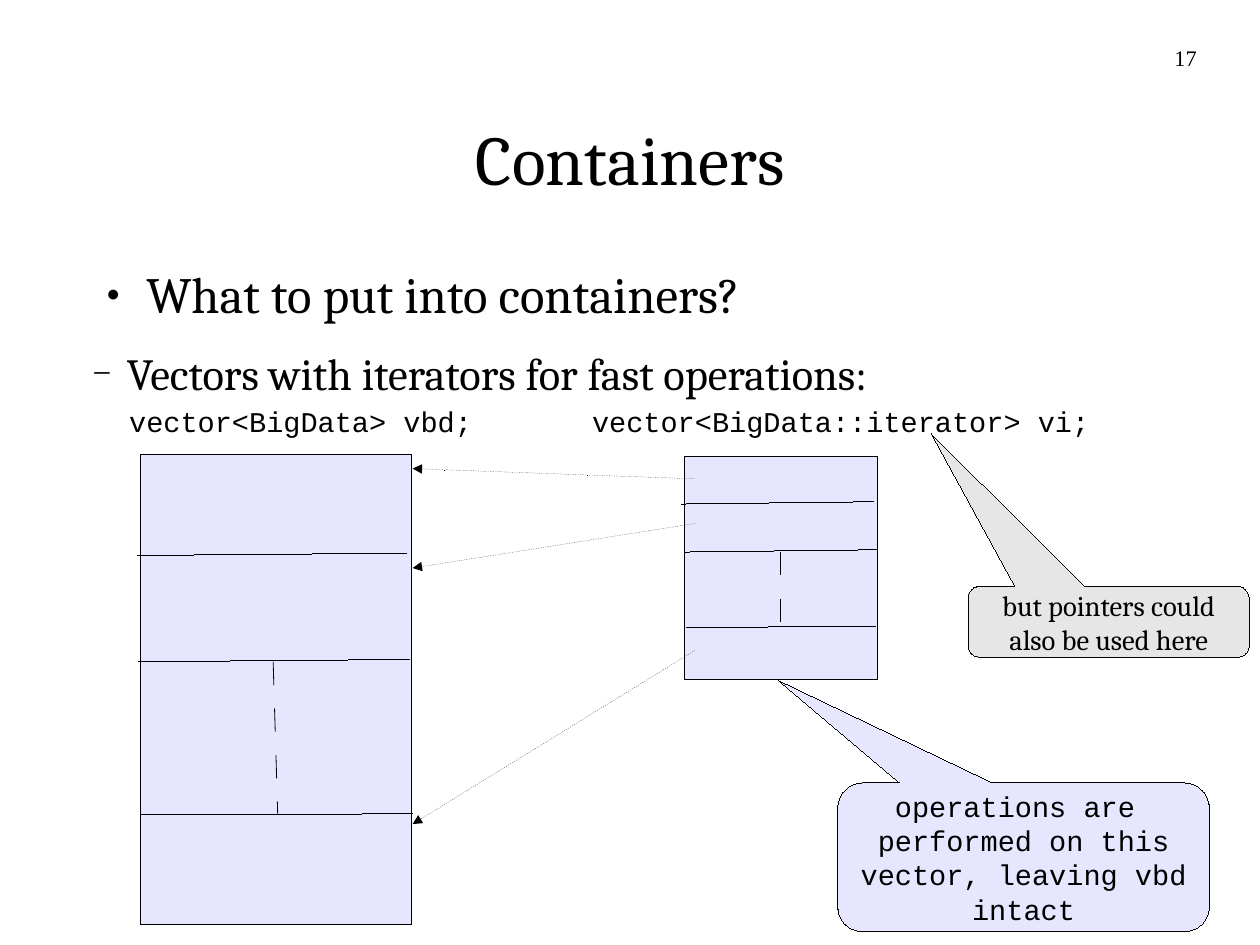
from dataclasses import dataclass

from lxml.etree import SubElement
from pptx import Presentation
from pptx.dml.color import RGBColor
from pptx.enum.shapes import MSO_CONNECTOR, MSO_SHAPE
from pptx.enum.text import MSO_ANCHOR as ANCHOR, PP_ALIGN as ALIGN
from pptx.oxml.ns import qn
from pptx.util import Cm, Inches, Pt

SERIF, MONO, ROMAN = "Cambria", "Courier New", "Times New Roman"
LILAC, GREY, BLACK = "E6E6FF", "E6E6E6", "000000"


@dataclass
class Label:
    text: str
    box: tuple
    size: float
    font: str
    align: ALIGN = ALIGN.LEFT
    anchor: ANCHOR = ANCHOR.TOP
    wrap: bool = True


@dataclass
class Line:
    start: tuple
    end: tuple
    style: str = "solid"


@dataclass
class Callout:
    label: Label
    fill: str
    tip: tuple


@dataclass
class Bullet:
    text: str
    char: str
    scale: int
    size: float
    margin: float
    indent: float
    after: float


def rgb(color: str) -> RGBColor:
    return RGBColor.from_string(color)


def write(tf, label: Label) -> None:
    tf.margin_left = tf.margin_right = tf.margin_top = tf.margin_bottom = 0
    tf.word_wrap = label.wrap
    tf.vertical_anchor = label.anchor
    tf.text = label.text
    for p in tf.paragraphs:
        p.alignment = label.align
        for r in p.runs:
            r.font.name, r.font.size = label.font, Pt(label.size)
            r.font.color.rgb = rgb(BLACK)


def add_label(s, label: Label):
    sp = s.shapes.add_textbox(*map(Inches, label.box))
    write(sp.text_frame, label)
    return sp


def outline(sp, width: int = 0):
    """Set a black outline; a hairline needs its zero width written out."""
    sp.line.color.rgb = rgb(BLACK)
    ln = sp.line._get_or_add_ln()
    ln.set("w", str(width))
    return ln


def add_block(s, kind: MSO_SHAPE, box: tuple, fill: str):
    sp = s.shapes.add_shape(kind, *map(Inches, box))
    sp.shadow.inherit = False
    sp.fill.solid()
    sp.fill.fore_color.rgb = rgb(fill)
    outline(sp)
    return sp


def add_callout(s, callout: Callout) -> None:
    sp = add_block(s, MSO_SHAPE.ROUNDED_RECTANGULAR_CALLOUT, callout.label.box, callout.fill)
    sp.adjustments[0], sp.adjustments[1] = callout.tip
    write(sp.text_frame, callout.label)
    for p in sp.text_frame.paragraphs:
        p.line_spacing = Pt(21.6)


def add_line(s, line: Line) -> None:
    cn = s.shapes.add_connector(MSO_CONNECTOR.STRAIGHT, *map(Inches, line.start + line.end))
    ln = outline(cn, Pt(0.5) if line.style == "dashed" else 0)
    if line.style == "dashed":
        # Dash and gap of 0.2 inch, as a share of the line width
        dash = SubElement(ln, qn("a:custDash"))
        SubElement(dash, qn("a:ds"), d="2880000", sp="2880000")
    elif line.style == "arrow":
        SubElement(ln, qn("a:prstDash"), val="sysDot")
        SubElement(ln, qn("a:tailEnd"), type="triangle")
    SubElement(cn._element.spPr, qn("a:effectLst"))


def add_bullets(s, box: tuple, bullets: list[Bullet]) -> None:
    text = "\n".join(b.text for b in bullets)
    sp = add_label(s, Label(text, box, 32, SERIF))
    for level, (p, b) in enumerate(zip(sp.text_frame.paragraphs, bullets)):
        p.level = level
        p.space_after = Pt(b.after)
        p.runs[0].font.size = Pt(b.size)
        pPr = p._p.get_or_add_pPr()
        pPr.set("marL", str(Inches(b.margin)))
        pPr.set("indent", str(Inches(b.indent)))
        color = SubElement(pPr, qn("a:buClr"))
        SubElement(color, qn("a:srgbClr"), val=BLACK)
        SubElement(pPr, qn("a:buSzPct"), val=str(b.scale * 1000))
        SubElement(pPr, qn("a:buFont"), typeface=ROMAN)
        SubElement(pPr, qn("a:buChar"), char=b.char)


BULLETS = [
    Bullet("What to put into containers?", "●", 45, 32, 0.47, -0.35, 14.2),
    Bullet("Vectors with iterators for fast operations:", "−", 75, 28, 0.3, -0.3, 11.3),
]
LABELS = [
    Label("Containers", (0.81, 0.69, 9.41, 1.38), 44, SERIF, ALIGN.CENTER, ANCHOR.MIDDLE),
    Label("vector<BigData> vbd;", (1.13, 3.53, 3.5, 0.29), 18, MONO),
    Label("vector<BigData::iterator> vi;", (5.18, 3.53, 4.6, 0.29), 18, MONO),
    Label("17", (7.9, 0.39, 2.57, 0.57), 14, ROMAN, ALIGN.RIGHT),
]
VECTORS = [(1.23, 3.98, 2.37, 4.11), (5.99, 3.99, 1.69, 1.96)]
LINES = [
    # Cells of the data vector
    Line((1.2, 4.86), (3.56, 4.84)),
    Line((1.21, 5.79), (3.58, 5.77)),
    Line((1.24, 7.13), (3.61, 7.12)),
    Line((2.39, 5.79), (2.43, 7.13), "dashed"),
    # Cells of the iterator vector
    Line((5.96, 4.41), (7.64, 4.39)),
    Line((5.99, 4.83), (7.67, 4.81)),
    Line((6.01, 5.49), (7.66, 5.48)),
    Line((6.83, 4.83), (6.83, 5.49), "dashed"),
    # Iterators pointing at data
    Line((6.08, 4.19), (3.61, 4.1), "arrow"),
    Line((6.08, 4.58), (3.61, 4.97), "arrow"),
    Line((6.08, 5.69), (3.61, 7.21), "arrow"),
]
CALLOUTS = [
    Callout(Label("operations are \nperformed on this\nvector, leaving vbd\nintact",
                  (7.33, 6.85, 3.25, 1.3), 18, MONO, ALIGN.CENTER, ANCHOR.MIDDLE, False),
            LILAC, (-0.66, -1.19)),
    Callout(Label("but pointers could\nalso be used here",
                  (8.47, 5.13, 2.46, 0.62), 18, SERIF, ALIGN.CENTER, ANCHOR.MIDDLE, False),
            GREY, (-0.63, -2.65)),
]


def main() -> None:
    prs = Presentation()
    prs.slide_width, prs.slide_height = Cm(28), Cm(21)
    s = prs.slides.add_slide(prs.slide_layouts[6])

    # Text
    add_bullets(s, (0.81, 2.3, 9.41, 5.61), BULLETS)
    for label in LABELS:
        add_label(s, label)

    # Diagram
    for box in VECTORS:
        add_block(s, MSO_SHAPE.RECTANGLE, box, LILAC)
    for line in LINES:
        add_line(s, line)
    for callout in CALLOUTS:
        add_callout(s, callout)

    prs.save("out.pptx")


if __name__ == "__main__":
    main()
